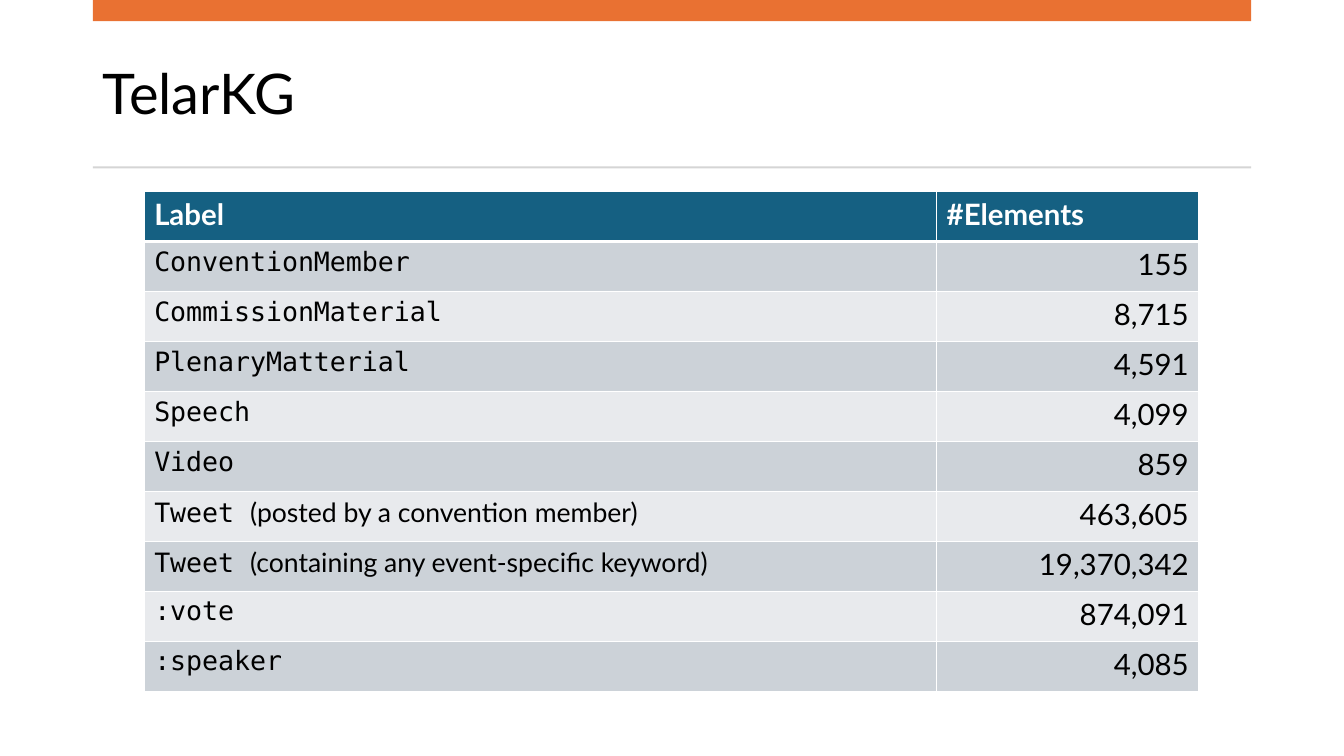
from lxml import etree
from pptx import Presentation
from pptx.dml.color import RGBColor
from pptx.enum.shapes import MSO_SHAPE
from pptx.enum.text import MSO_ANCHOR, PP_ALIGN
from pptx.oxml.ns import qn
from pptx.util import Inches, Pt

RECT = MSO_SHAPE.RECTANGLE
MIDDLE = MSO_ANCHOR.MIDDLE
LEFT, RIGHT = PP_ALIGN.LEFT, PP_ALIGN.RIGHT

COLORS = {
    "accent": "E97132", "rule": "D5D5D5", "header": "156082",
    "odd": "CCD2D8", "even": "E8EAED", "white": "FFFFFF", "black": "000000",
}
SANS, MONO = "Lato", "DejaVu Sans Mono"
SLIDE_W, SLIDE_H = 13.33, 7.5
MARGIN = 0.92
CONTENT_W = SLIDE_W - 2 * MARGIN

# Table grid
COLUMNS = (7.86, 2.6)
TABLE_LEFT, TABLE_TOP = 1.43, 1.9
TABLE_H = 4.96

# Text formats
TITLE = {"name": SANS, "size": Pt(40), "bold": False}
HEADER = {"name": SANS, "size": Pt(21), "bold": True}
NUMBER = {"name": SANS, "size": Pt(21), "bold": False}
CODE = {"name": MONO, "size": Pt(19), "bold": False}
NOTE = {"name": SANS, "size": Pt(19), "bold": False}

# Label, explanation, number of elements
ROWS = [
    ("ConventionMember", "", "155"),
    ("CommissionMaterial", "", "8,715"),
    ("PlenaryMatterial", "", "4,591"),
    ("Speech", "", "4,099"),
    ("Video", "", "859"),
    ("Tweet ", "(posted by a convention member)", "463,605"),
    ("Tweet ", "(containing any event-specific keyword)", "19,370,342"),
    (":vote", "", "874,091"),
    (":speaker", "", "4,085"),
]


def rgb(key):
    return RGBColor.from_string(COLORS[key])


def add_run(p, text, style, color="black"):
    r = p.add_run()
    r.text = text
    for name, value in style.items():
        setattr(r.font, name, value)
    r.font.color.rgb = rgb(color)


def add_bar(s, top, height, color):
    bar = s.shapes.add_shape(RECT, Inches(MARGIN), Inches(top),
                             Inches(CONTENT_W), Inches(height))
    bar.shadow.inherit = False
    bar.fill.solid()
    bar.fill.fore_color.rgb = rgb(color)
    bar.line.fill.background()


def set_title(s, text):
    title = s.shapes.title
    box = {"left": MARGIN, "top": 0.37, "width": CONTENT_W, "height": 1.18}
    for name, value in box.items():
        setattr(title, name, Inches(value))
    tf = title.text_frame
    tf.vertical_anchor = MIDDLE
    p = tf.paragraphs[0]
    p.alignment = LEFT
    p.line_spacing = 0.9
    add_run(p, text, TITLE)


def set_borders(cell, bottom=1):
    tc_pr = cell._tc.get_or_add_tcPr()
    widths = {"a:lnL": 1, "a:lnR": 1, "a:lnT": 1, "a:lnB": bottom}
    for i, (tag, width) in enumerate(widths.items()):
        ln = etree.Element(qn(tag), w=str(Pt(width)))
        fill = etree.SubElement(ln, qn("a:solidFill"))
        etree.SubElement(fill, qn("a:srgbClr"), val=COLORS["white"])
        tc_pr.insert(i, ln)


def fill_cell(cell, runs, fill, color="black", align=LEFT, bottom=1):
    cell.fill.solid()
    cell.fill.fore_color.rgb = rgb(fill)
    set_borders(cell, bottom)
    p = cell.text_frame.paragraphs[0]
    p.alignment = align
    for text, style in runs:
        if text:
            add_run(p, text, style, color)


def add_counts(s):
    n = len(ROWS) + 1
    frame = s.shapes.add_table(n, len(COLUMNS), Inches(TABLE_LEFT), Inches(TABLE_TOP),
                               Inches(sum(COLUMNS)), Inches(TABLE_H))
    table = frame.table
    for column, width in zip(table.columns, COLUMNS):
        column.width = Inches(width)
    for row in table.rows:
        row.height = Inches(TABLE_H / n)

    # Header row
    for i, text in enumerate(("Label", "#Elements")):
        fill_cell(table.cell(0, i), [(text, HEADER)], "header", "white", bottom=3)

    # Banded body rows
    for i, (label, note, count) in enumerate(ROWS, 1):
        band = "odd" if i % 2 else "even"
        fill_cell(table.cell(i, 0), [(label, CODE), (note, NOTE)], band)
        fill_cell(table.cell(i, 1), [(count, NUMBER)], band, align=RIGHT)
    # The header's lower edge is shared with the first body row
    for cell in table.rows[1].cells:
        cell._tc.tcPr.find(qn("a:lnT")).set("w", str(Pt(3)))


def main():
    prs = Presentation()
    prs.slide_width, prs.slide_height = Inches(SLIDE_W), Inches(SLIDE_H)
    s = prs.slides.add_slide(prs.slide_layouts[5])
    set_title(s, "TelarKG")
    add_bar(s, 0, 0.21, "accent")
    add_bar(s, 1.65, 0.02, "rule")
    add_counts(s)
    prs.save("out.pptx")


if __name__ == "__main__":
    main()
